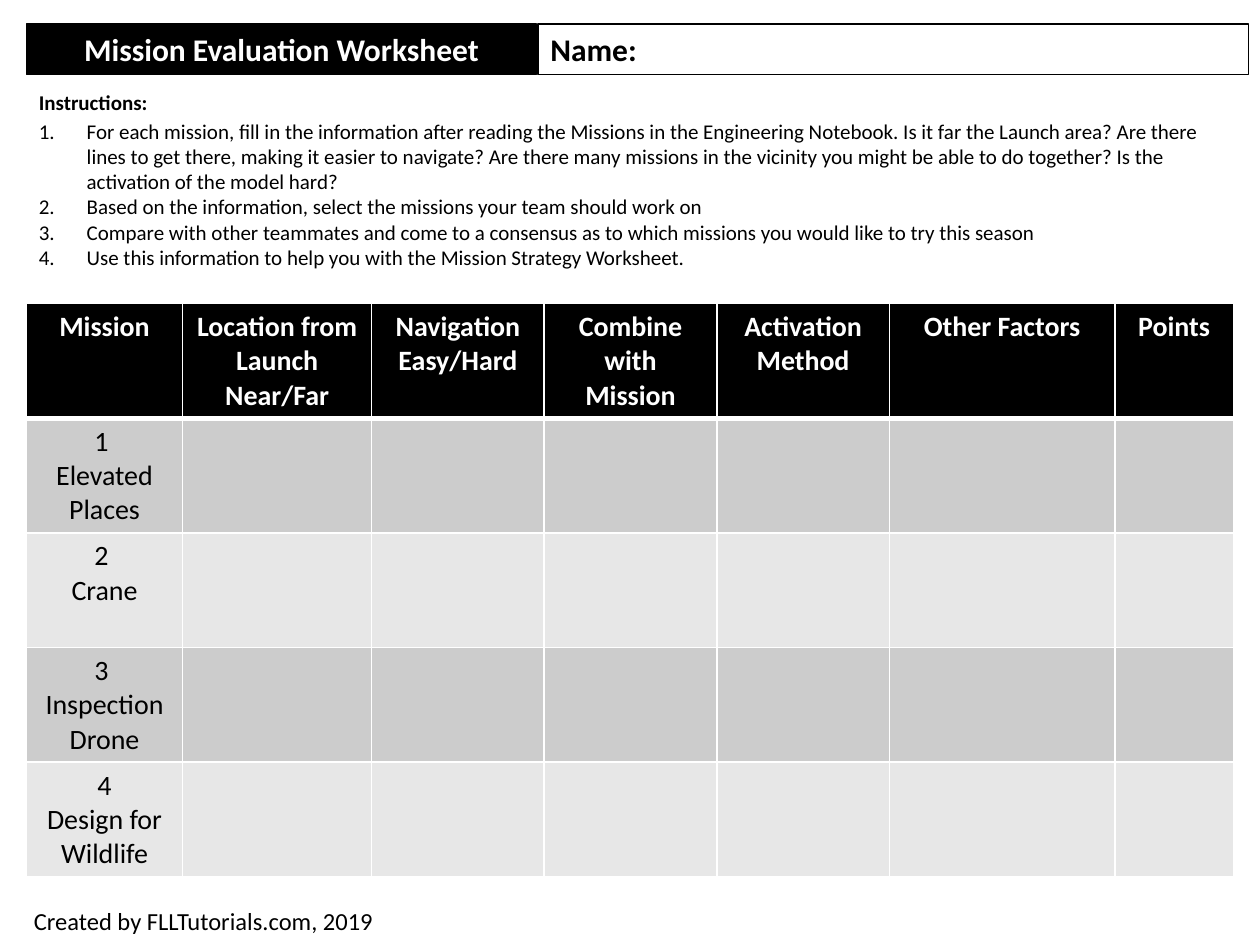
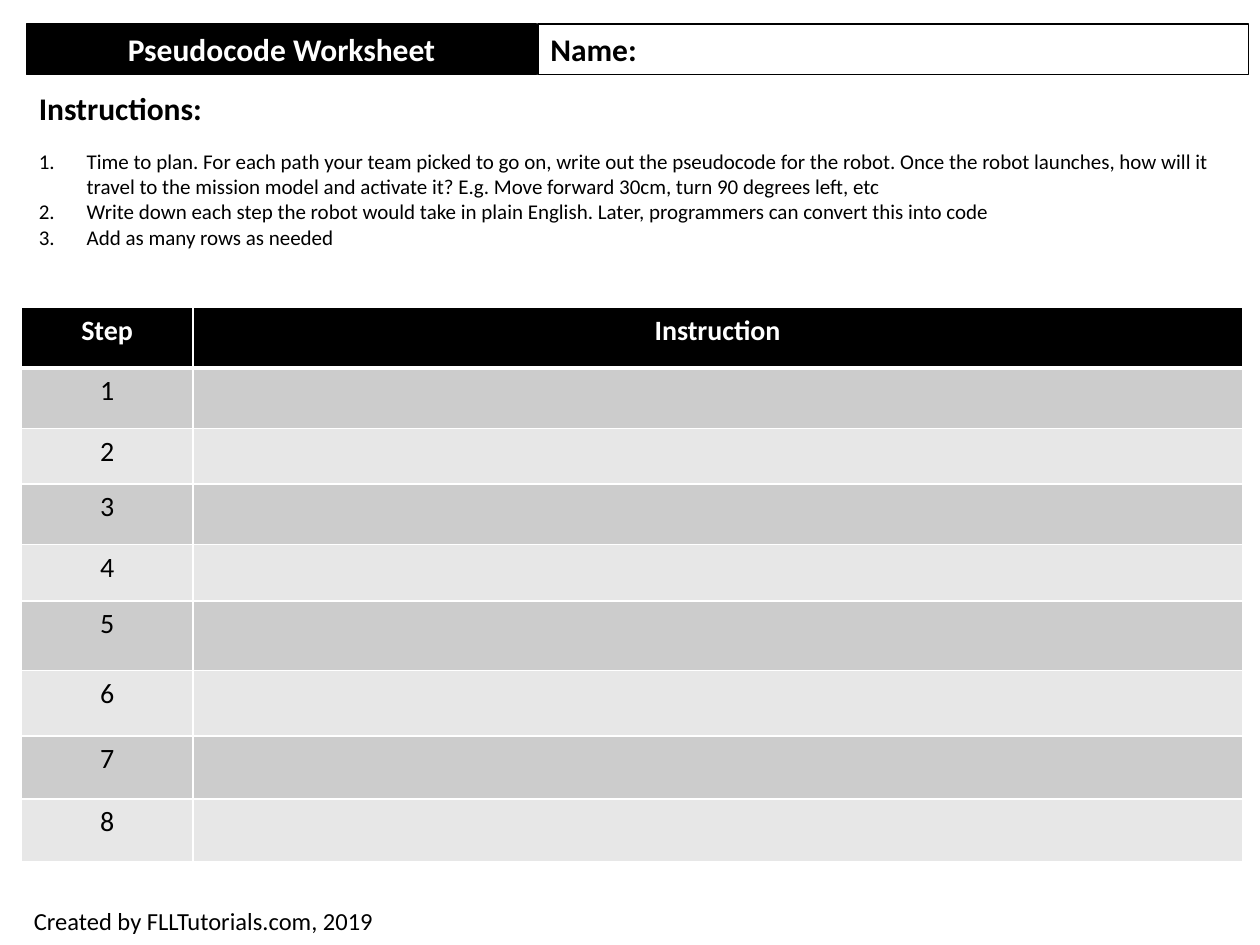
from dataclasses import dataclass

import pptx
import pptx.dml.color
import pptx.enum.shapes
import pptx.enum.text
import pptx.oxml.ns
import pptx.util
from lxml import etree

# Shared style
PX = 9144  # EMU per px, 100 px to the inch
FONT = "Calibri"
BLACK, WHITE = "000000", "FFFFFF"
BANDS = ("CCCCCC", "E7E7E7")
NUMBER_INDENT = 38
LEFT = pptx.enum.text.PP_ALIGN.LEFT
CENTER = pptx.enum.text.PP_ALIGN.CENTER


@dataclass
class Box:
    left: int
    top: int
    width: int
    height: int

    def emu(self) -> list[int]:
        return [px * PX for px in (self.left, self.top, self.width, self.height)]


@dataclass
class Grid:
    left: int
    top: int
    columns: list[int]
    rows: list[int]
    headers: list[str]
    labels: list[str]


@dataclass
class Worksheet:
    title: str
    heading_size: int
    heading_height: int
    steps_box: Box
    steps: list[str]
    grid: Grid


TITLE_BOX = Box(21, 19, 405, 40)
NAME_BOX = Box(427, 19, 564, 40)
FOOTER_BOX = Box(17, 714, 491, 34)

WORKSHEETS = [
    Worksheet(
        title="Mission Evaluation Worksheet",
        heading_size=12,
        heading_height=30,
        steps_box=Box(21, 89, 969, 172),
        steps=[
            "For each mission, fill in the information after reading the Missions in the "
            "Engineering Notebook. Is it far the Launch area? Are there lines to get there, "
            "making it easier to navigate? Are there many missions in the vicinity you might "
            "be able to do together? Is the activation of the model hard?",
            "Based on the information, select the missions your team should work on",
            "Compare with other teammates and come to a consensus as to which missions you "
            "would like to try this season",
            "Use this information to help you with the Mission Strategy Worksheet.",
        ],
        grid=Grid(
            21, 241,
            columns=[124, 150, 137, 137, 137, 179, 94],
            rows=[91] * 5,
            headers=["Mission", "Location from Launch\nNear/Far", "Navigation Easy/Hard",
                     "Combine with Mission", "Activation Method", "Other Factors", "Points"],
            labels=["1 \nElevated Places", "2 \nCrane", "3 \nInspection Drone",
                    "4\nDesign for Wildlife"],
        ),
    ),
    Worksheet(
        title="Pseudocode Worksheet",
        heading_size=18,
        heading_height=41,
        steps_box=Box(21, 113, 969, 91),
        steps=[
            "Time to plan. For each path your team picked to go on, write out the pseudocode "
            "for the robot. Once the robot launches, how will it travel to the mission model "
            "and activate it? E.g. Move forward 30cm, turn 90 degrees left, etc",
            "Write down each step the robot would take in plain English. Later, programmers "
            "can convert this into code",
            "Add as many rows as needed",
        ],
        grid=Grid(
            17, 244,
            columns=[136, 833],
            rows=[48, 48, 44, 48, 45, 55, 52, 50, 50],
            headers=["Step", "Instruction"],
            labels=[str(number) for number in range(1, 9)],
        ),
    ),
]


def color(value: str) -> pptx.dml.color.RGBColor:
    return pptx.dml.color.RGBColor.from_string(value)


def write(text_frame, text: str, *, size: int, fill: str = BLACK, bold: bool = False,
          align=LEFT, numbered: bool = False) -> None:
    """Write each line of text as one paragraph."""
    text_frame.word_wrap = True
    for index, line in enumerate(text.split("\n")):
        paragraph = text_frame.add_paragraph() if index else text_frame.paragraphs[0]
        if numbered:
            properties = paragraph._p.get_or_add_pPr()
            properties.set("marL", str(NUMBER_INDENT * PX))
            properties.set("indent", str(-NUMBER_INDENT * PX))
            etree.SubElement(properties, pptx.oxml.ns.qn("a:buAutoNum"), type="arabicPeriod")
        paragraph.alignment = align
        run = paragraph.add_run()
        run.text = line
        run.font.name = FONT
        run.font.size = pptx.util.Pt(size)
        run.font.bold = bold
        run.font.color.rgb = color(fill)


def add_text(slide, box: Box, text: str, **text_format) -> None:
    shape = slide.shapes.add_textbox(*box.emu())
    write(shape.text_frame, text, **text_format)
    shape.text_frame.auto_size = pptx.enum.text.MSO_AUTO_SIZE.SHAPE_TO_FIT_TEXT


def add_band(slide, box: Box, text: str, background: str, **text_format) -> None:
    shape = slide.shapes.add_shape(pptx.enum.shapes.MSO_SHAPE.RECTANGLE, *box.emu())
    shape.shadow.inherit = False
    shape.fill.solid()
    shape.fill.fore_color.rgb = color(background)
    shape.line.color.rgb = color(BLACK)
    shape.line.width = pptx.util.Pt(0.75)
    write(shape.text_frame, text, size=18, bold=True, **text_format)
    shape.text_frame.auto_size = pptx.enum.text.MSO_AUTO_SIZE.SHAPE_TO_FIT_TEXT


def style_cell(cell, background: str, top: int, bottom: int) -> None:
    """Give a cell white borders, with widths in points, and a fill."""
    properties = cell._tc.get_or_add_tcPr()
    for side, width in (("L", 1), ("R", 1), ("T", top), ("B", bottom)):
        border = etree.SubElement(properties, pptx.oxml.ns.qn(f"a:ln{side}"),
                                  w=str(pptx.util.Pt(width)))
        solid = etree.SubElement(border, pptx.oxml.ns.qn("a:solidFill"))
        etree.SubElement(solid, pptx.oxml.ns.qn("a:srgbClr"), val=WHITE)
    cell.fill.solid()
    cell.fill.fore_color.rgb = color(background)


def add_grid(slide, grid: Grid) -> None:
    box = Box(grid.left, grid.top, sum(grid.columns), sum(grid.rows))
    table = slide.shapes.add_table(len(grid.rows), len(grid.columns), *box.emu()).table
    for column, width in zip(table.columns, grid.columns):
        column.width = width * PX
    for row, height in zip(table.rows, grid.rows):
        row.height = height * PX
    for row_index, row in enumerate(table.rows):
        background = BANDS[(row_index - 1) % 2] if row_index else BLACK
        for cell in row.cells:
            style_cell(cell, background, top=3 if row_index == 1 else 1,
                       bottom=1 if row_index else 3)
    for column_index, header in enumerate(grid.headers):
        write(table.cell(0, column_index).text_frame, header,
              size=16, fill=WHITE, bold=True, align=CENTER)
    for row_index, label in enumerate(grid.labels, start=1):
        write(table.cell(row_index, 0).text_frame, label, size=16, align=CENTER)


def add_worksheet(presentation, worksheet: Worksheet) -> None:
    slide = presentation.slides.add_slide(presentation.slide_layouts[6])
    # Title and name bands
    add_band(slide, TITLE_BOX, worksheet.title, BLACK, fill=WHITE, align=CENTER)
    add_band(slide, NAME_BOX, "Name:", WHITE)
    # Instructions
    add_text(slide, Box(21, 66, 247, worksheet.heading_height), "Instructions:",
             size=worksheet.heading_size, bold=True)
    add_text(slide, worksheet.steps_box, "\n".join(worksheet.steps), size=12, numbered=True)
    # Table and footer
    add_grid(slide, worksheet.grid)
    add_text(slide, FOOTER_BOX, "Created by FLLTutorials.com, 2019", size=14)


def main() -> None:
    presentation = pptx.Presentation()
    presentation.slide_width = 1000 * PX
    presentation.slide_height = 750 * PX
    for worksheet in WORKSHEETS:
        add_worksheet(presentation, worksheet)
    presentation.save("out.pptx")


if __name__ == "__main__":
    main()
